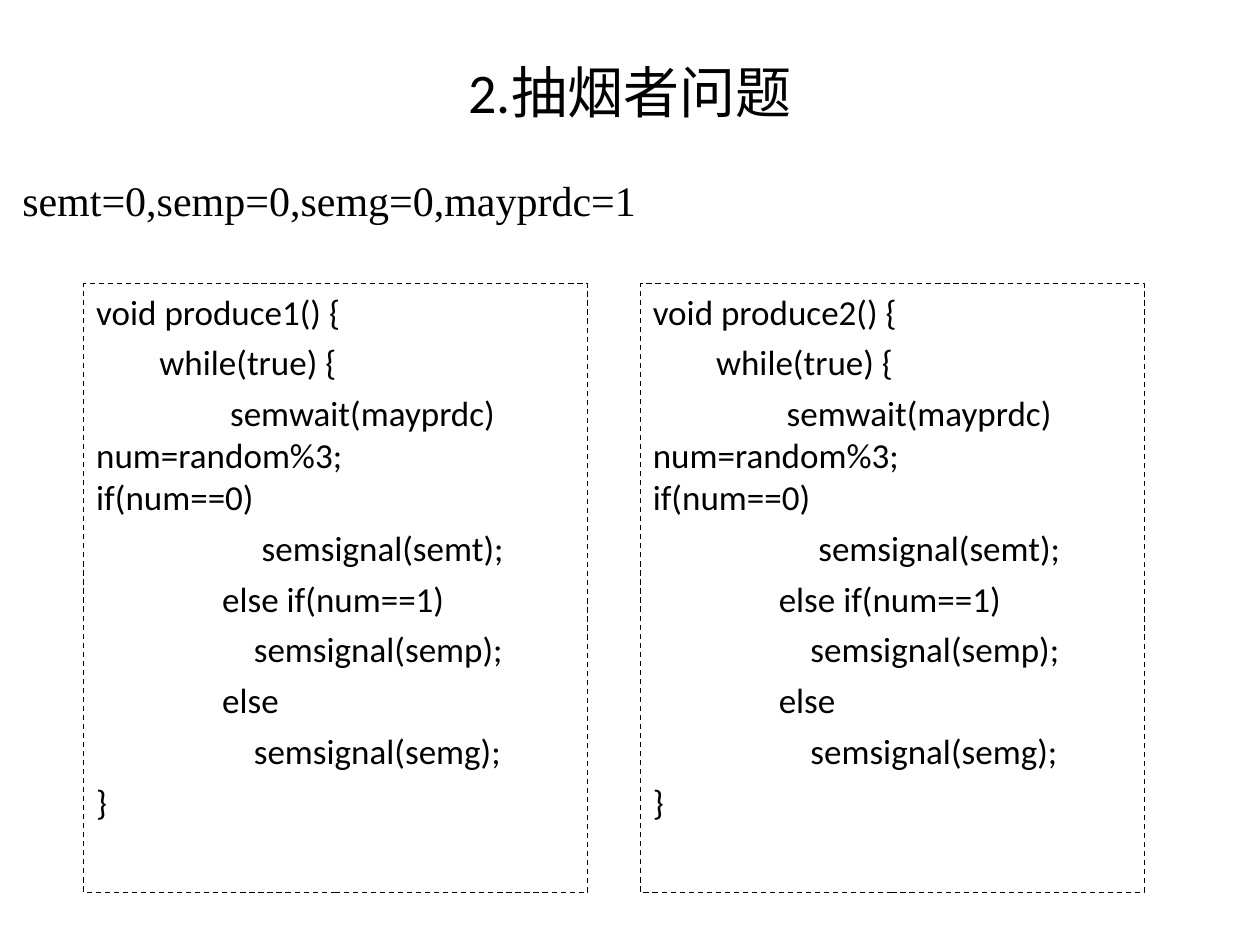
import pptx
import pptx.util
import pptx.dml.color
import pptx.enum.dml
import pptx.enum.shapes
import pptx.enum.text
from lxml import etree
from pptx.util import Cm

TITLE = "2.抽烟者问题"
SEMAPHORES = "semt=0,semp=0,semg=0,mayprdc=1"
PRODUCERS = ["produce1", "produce2"]
BODY = [
    "        while(true) {",
    "\t semwait(mayprdc)\vnum=random%3;\vif(num==0)",
    "\t     semsignal(semt);",
    " \telse if(num==1)",
    "\t    semsignal(semp);",
    "\telse",
    "\t    semsignal(semg);",
    "}",
]

BLACK = "000000"
BOX_LEFT, BOX_TOP, BOX_W, BOX_H = 1.69, 5.72, 10.16, 12.27
BOX_STEP = 11.22
FRAME = {
    "word_wrap": True,
    "margin_left": Cm(0.25),
    "margin_right": Cm(0.25),
    "margin_top": Cm(0.13),
    "margin_bottom": Cm(0.13),
}


def color(value):
    return pptx.dml.color.RGBColor.from_string(value)


def set_all(obj, values):
    for name, value in values.items():
        setattr(obj, name, value)


def add_tab_stop(p, position):
    tabs = etree.SubElement(p._p.get_or_add_pPr(), pptx.oxml.ns.qn("a:tabLst"))
    etree.SubElement(tabs, pptx.oxml.ns.qn("a:tab"), pos=str(position), algn="l")


def write(sp, lines, font, anchor, align, space=0, tab=None):
    tf = sp.text_frame
    set_all(tf, {**FRAME, "vertical_anchor": anchor})
    for i, line in enumerate(lines):
        p = tf.paragraphs[0] if i == 0 else tf.add_paragraph()
        p.text = line
        p.alignment = align
        if i:
            p.space_before = pptx.util.Pt(space)
        if tab:
            add_tab_stop(p, tab)
        for r in p.runs:
            set_all(r.font, font)
            r.font.color.rgb = color(BLACK)


def add_code_box(s, left, lines):
    sp = s.shapes.add_shape(pptx.enum.shapes.MSO_SHAPE.RECTANGLE,
                            Cm(left), Cm(BOX_TOP), Cm(BOX_W), Cm(BOX_H))
    sp.shadow.inherit = False
    sp.fill.background()
    sp.line.color.rgb = color(BLACK)
    set_all(sp.line, {"width": pptx.util.Pt(0.75),
                      "dash_style": pptx.enum.dml.MSO_LINE.DASH})
    write(sp, lines, {"name": "Calibri", "size": pptx.util.Pt(20)},
          pptx.enum.text.MSO_ANCHOR.TOP, pptx.enum.text.PP_ALIGN.LEFT,
          space=5, tab=Cm(2.54))


def main():
    prs = pptx.Presentation()
    set_all(prs, {"slide_width": Cm(25.4), "slide_height": Cm(19.05)})
    s = prs.slides.add_slide(prs.slide_layouts[5])

    title = s.shapes.title
    set_all(title, {"left": Cm(0), "top": Cm(0.76),
                    "width": prs.slide_width, "height": Cm(2.16)})
    write(title, [TITLE], {"name": "Calibri", "size": pptx.util.Pt(32)},
          pptx.enum.text.MSO_ANCHOR.MIDDLE, pptx.enum.text.PP_ALIGN.CENTER)

    note = s.shapes.add_textbox(Cm(0.2), Cm(3.38), Cm(17.15), Cm(1.27))
    write(note, [SEMAPHORES], {"name": "Times New Roman", "size": pptx.util.Pt(24)},
          pptx.enum.text.MSO_ANCHOR.TOP, pptx.enum.text.PP_ALIGN.LEFT)

    for i, name in enumerate(PRODUCERS):
        add_code_box(s, BOX_LEFT + i * BOX_STEP, [f"void {name}() {{", *BODY])

    prs.save("out.pptx")


if __name__ == "__main__":
    main()
